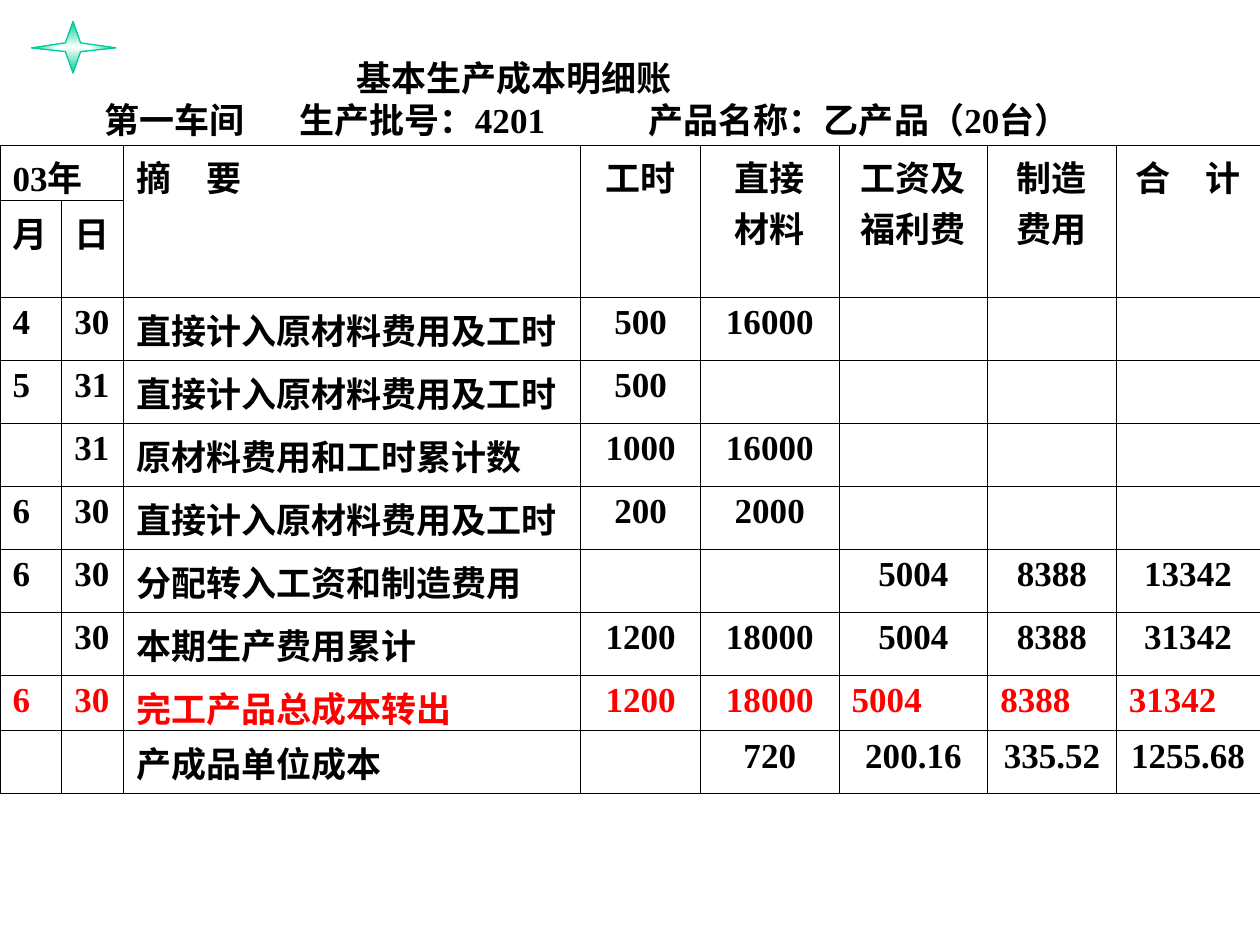
"""Build a production cost ledger slide with a star ornament."""
from lxml import etree
from pptx import Presentation
from pptx import util as u
from pptx.dml.color import RGBColor
from pptx.enum import text
from pptx.oxml import ns

COLORS = {"ink": "000000", "total": "FF0000", "star": "00CC99", "glow": "FFFFFF"}
FONT = "Times New Roman"
LEFT, CENTER = text.PP_ALIGN.LEFT, text.PP_ALIGN.CENTER
COLUMN_WIDTHS = [0.49, 0.49, 3.63, 0.95, 1.1, 1.18, 1.02, 1.14]
SUBHEAD_ROW, TOTAL_ROW = 1, 8
COMPACT_ROWS = (0, TOTAL_ROW)
LEDGER = [
    ["03年", "", "摘　要", "工时", "直接\n材料", "工资及福利费", "制造\n费用", "合　计"],
    ["月", "日", "", "", "", "", "", ""],
    ["4", "30", "直接计入原材料费用及工时", "500", "16000", "", "", ""],
    ["5", "31", "直接计入原材料费用及工时", "500", "", "", "", ""],
    ["", "31", "原材料费用和工时累计数", "1000", "16000", "", "", ""],
    ["6", "30", "直接计入原材料费用及工时", "200", "2000", "", "", ""],
    ["6", "30", "分配转入工资和制造费用", "", "", "5004", "8388", "13342"],
    ["", "30", "本期生产费用累计", "1200", "18000", "5004", "8388", "31342"],
    ["6", "30", "完工产品总成本转出", "1200", "18000", "5004", "8388", "31342"],
    ["", "", "产成品单位成本", "", "720", "200.16", "335.52", "1255.68"],
]


def rgb(name):
    """Return the named colour."""
    return RGBColor.from_string(COLORS[name])


def write_text(frame, content, color="ink", align=LEFT, spacing=None):
    """Write bold paragraphs, one for each line of content."""
    for index, line in enumerate(content.split("\n")):
        paragraph = frame.paragraphs[0] if index == 0 else frame.add_paragraph()
        paragraph.alignment = align
        if spacing:
            paragraph.line_spacing = u.Pt(spacing)
        run = paragraph.add_run()
        run.text = line
        run.font.name = FONT
        run.font.size = u.Pt(20)
        run.font.bold = True
        run.font.color.rgb = rgb(color)


def add_star(slide):
    """Draw the four-pointed star with a glowing centre."""
    points = [(0.25, 0.38), (0.52, 0.34), (0.58, 0.17), (0.64, 0.34),
              (0.92, 0.38), (0.64, 0.41), (0.58, 0.58), (0.52, 0.41)]
    corners = [(u.Inches(x), u.Inches(y)) for x, y in points]
    builder = slide.shapes.build_freeform(*corners[0])
    builder.add_line_segments(corners[1:], close=True)
    star = builder.convert_to_shape()
    star.shadow.inherit = False
    star.line.color.rgb = rgb("star")
    star.line.width = u.Pt(0)
    star.fill.gradient()
    for stop, name in zip(star.fill.gradient_stops, ("glow", "star")):
        stop.color.rgb = rgb(name)
    linear = star._element.spPr.find(".//" + ns.qn("a:lin"))
    gradient = linear.getparent()
    gradient.remove(linear)
    path = etree.SubElement(gradient, ns.qn("a:path"), path="rect")
    etree.SubElement(path, ns.qn("a:fillToRect"),
                     {side: "50000" for side in "ltrb"})


def add_heading(slide):
    """Add the ledger title and its tabbed details line."""
    box = slide.shapes.add_textbox(u.Inches(0.73), u.Inches(0.36),
                                   u.Inches(8), u.Inches(0.77))
    frame = box.text_frame
    frame.word_wrap = False
    frame.vertical_anchor = text.MSO_ANCHOR.MIDDLE
    frame.margin_top = u.Inches(0.12)
    write_text(frame, "基本生产成本明细账\n"
               "第一车间\t生产批号：4201\t产品名称：乙产品（20台）", spacing=24)
    title, details = [paragraph._p.get_or_add_pPr() for paragraph in frame.paragraphs]
    title.set("marL", str(u.Inches(2)))
    tabs = etree.SubElement(details, ns.qn("a:tabLst"))
    for position in (1.55, 4.32):
        etree.SubElement(tabs, ns.qn("a:tab"), pos=str(u.Inches(position)), algn="l")


def style_cell(cell):
    """Give a cell thin borders and no fill."""
    properties = cell._tc.get_or_add_tcPr()
    for side in "LRTB":
        line = etree.SubElement(properties, ns.qn("a:ln" + side), w=str(u.Pt(0.45)))
        fill = etree.SubElement(line, ns.qn("a:solidFill"))
        etree.SubElement(fill, ns.qn("a:srgbClr"), val=COLORS["ink"])
    cell.fill.background()


def add_ledger(slide):
    """Add the ledger table with its merged header."""
    heights = [0.44 if row in COMPACT_ROWS else 0.5 for row in range(len(LEDGER))]
    heights[SUBHEAD_ROW] = 0.77
    frame = slide.shapes.add_table(len(LEDGER), len(COLUMN_WIDTHS), 0, u.Inches(1.15),
                                   u.Inches(10), u.Inches(sum(heights)))
    table = frame.table
    table.first_row = table.horz_banding = False
    for column, width in zip(table.columns, COLUMN_WIDTHS):
        column.width = u.Inches(width)
    for row, height in zip(table.rows, heights):
        row.height = u.Inches(height)
    table.cell(0, 0).merge(table.cell(0, 1))
    for column in range(2, len(COLUMN_WIDTHS)):
        table.cell(0, column).merge(table.cell(SUBHEAD_ROW, column))
    for row, values in enumerate(LEDGER):
        for column, value in enumerate(values):
            cell = table.cell(row, column)
            style_cell(cell)
            if row in COMPACT_ROWS:
                cell.margin_bottom = 0
            if value:
                flush = column < 3 or (row == TOTAL_ROW and column > 4)
                write_text(cell.text_frame, value, align=LEFT if flush else CENTER,
                           color="total" if row == TOTAL_ROW else "ink")


def main():
    """Create the slide and save the presentation."""
    presentation = Presentation()
    presentation.slide_width = u.Inches(10)
    presentation.slide_height = u.Inches(7.5)
    slide = presentation.slides.add_slide(presentation.slide_layouts[6])
    add_star(slide)
    add_heading(slide)
    add_ledger(slide)
    presentation.save("out.pptx")


if __name__ == "__main__":
    main()
